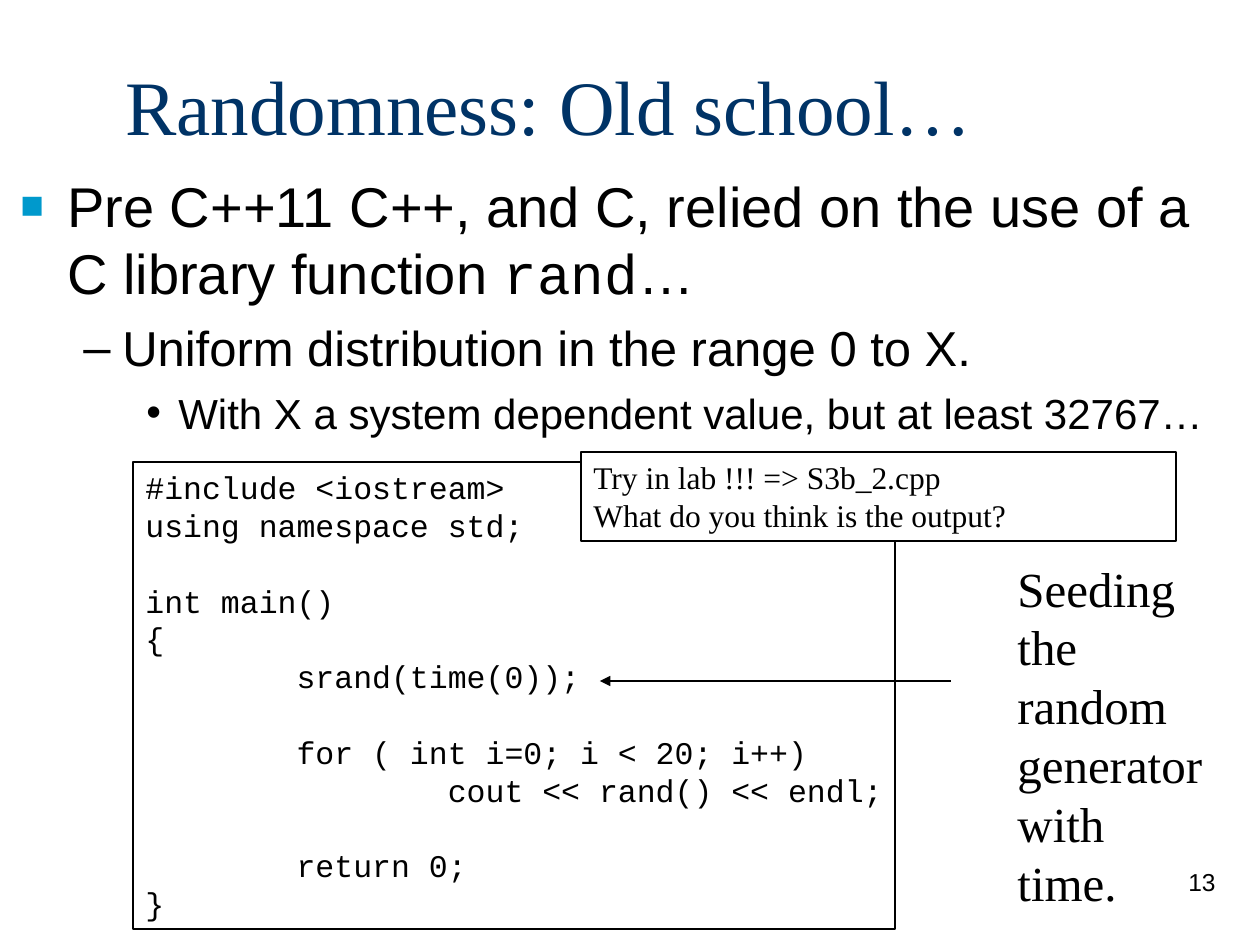
from dataclasses import dataclass
from typing import Optional

import pptx
import pptx.dml.color
import pptx.enum.shapes
import pptx.enum.text
import pptx.oxml
import pptx.oxml.ns
import pptx.util

PX_PER_INCH = 126
Align = pptx.enum.text.PP_ALIGN
Anchor = pptx.enum.text.MSO_ANCHOR


@dataclass(frozen=True)
class Theme:
    ink: str = "000000"
    paper: str = "FFFFFF"
    heading: str = "003366"
    accent: str = "0099CC"
    serif: str = "Times New Roman"
    sans: str = "Arial"
    mono: str = "Courier New"
    title_size: int = 44
    body_sizes: tuple = (32, 28, 24)
    code_size: int = 18
    aside_size: int = 28
    number_size: int = 14
    line_height: float = 1.2
    rule: float = 0.75


THEME = Theme()


@dataclass(frozen=True)
class Run:
    text: str
    font: str
    size: int
    color: str = THEME.ink


@dataclass(frozen=True)
class Bullet:
    char: str
    color: str
    percent: int
    indent: int
    hanging: int


@dataclass(frozen=True)
class Line:
    runs: tuple[Run, ...]
    before: float = 0
    align: Align = Align.LEFT
    bullet: Optional[Bullet] = None


@dataclass(frozen=True)
class Block:
    left: int
    top: int
    width: int
    height: int
    lines: tuple[Line, ...]
    anchor: Anchor = Anchor.TOP
    wrap: bool = True
    outlined: bool = False
    fill: Optional[str] = None


def px(length: int) -> int:
    return round(length * pptx.util.Inches(1) / PX_PER_INCH)


def rgb(color: str) -> pptx.dml.color.RGBColor:
    return pptx.dml.color.RGBColor.from_string(color)


def add_element(parent, tag: str, **attributes: str):
    element = pptx.oxml.parse_xml(f"<{tag} {pptx.oxml.ns.nsdecls('a')}/>")
    for key, value in attributes.items():
        element.set(key, value)
    parent.append(element)
    return element


def set_bullet(paragraph, bullet: Bullet) -> None:
    properties = paragraph._p.get_or_add_pPr()
    properties.set("marL", str(px(bullet.indent)))
    properties.set("indent", str(-px(bullet.hanging)))
    add_element(add_element(properties, "a:buClr"), "a:srgbClr", val=bullet.color)
    add_element(properties, "a:buSzPct", val=str(bullet.percent * 1000))
    add_element(properties, "a:buFont", typeface=THEME.sans)
    add_element(properties, "a:buChar", char=bullet.char)


def write_line(paragraph, line: Line) -> None:
    if line.bullet:
        set_bullet(paragraph, line.bullet)
    tallest = max(run.size for run in line.runs)
    formats = {
        "alignment": line.align,
        "line_spacing": pptx.util.Pt(tallest * THEME.line_height),
        "space_before": pptx.util.Pt(line.before),
    }
    for key, value in formats.items():
        setattr(paragraph, key, value)
    for run in line.runs:
        written = paragraph.add_run()
        written.text = run.text
        for key, value in {"name": run.font, "size": pptx.util.Pt(run.size)}.items():
            setattr(written.font, key, value)
        written.font.color.rgb = rgb(run.color)


def draw_block(slide, block: Block) -> None:
    place = [px(n) for n in (block.left, block.top, block.width, block.height)]
    if block.outlined:
        shape = slide.shapes.add_shape(pptx.enum.shapes.MSO_SHAPE.RECTANGLE, *place)
        shape.shadow.inherit = False
        shape.line.color.rgb = rgb(THEME.ink)
        shape.line.width = pptx.util.Pt(THEME.rule)
        if block.fill:
            shape.fill.solid()
            shape.fill.fore_color.rgb = rgb(block.fill)
        else:
            shape.fill.background()
    else:
        shape = slide.shapes.add_textbox(*place)
    frame = shape.text_frame
    for key, value in {"word_wrap": block.wrap, "vertical_anchor": block.anchor}.items():
        setattr(frame, key, value)
    for index, line in enumerate(block.lines):
        write_line(frame.add_paragraph() if index else frame.paragraphs[0], line)


def draw_arrow(slide, start: tuple[int, int], end: tuple[int, int]) -> None:
    arrow = slide.shapes.add_connector(
        pptx.enum.shapes.MSO_CONNECTOR.STRAIGHT, *(px(n) for n in start + end))
    arrow.line.color.rgb = rgb(THEME.ink)
    arrow.line.width = pptx.util.Pt(THEME.rule)
    add_element(arrow.line._get_or_add_ln(), "a:tailEnd", type="triangle")
    add_element(arrow._element.spPr, "a:effectLst")


def plain_lines(text: str, font: str, size: int) -> tuple[Line, ...]:
    """One Line per row; an empty row becomes a line of space before the next."""
    lines, gap = [], 0
    for row in text.splitlines():
        if row:
            lines.append(Line((Run(row, font, size),), before=gap))
        gap = 0 if row else size * THEME.line_height
    return tuple(lines)


CODE = """#include <iostream>
using namespace std;

int main()
{
        srand(time(0));

        for ( int i=0; i < 20; i++)
                cout << rand() << endl;

        return 0;
}"""

TOP, SECOND, THIRD = THEME.body_sizes
POINTS = (
    Line((Run("Pre C++11 C++, and C, relied on the use of a C library function ", THEME.sans, TOP),
          Run("rand", THEME.mono, TOP), Run("…", THEME.sans, TOP)),
         bullet=Bullet("■", THEME.accent, 70, 47, 47)),
    Line((Run("Uniform distribution in the range 0 to X.", THEME.sans, SECOND),),
         before=7, bullet=Bullet("–", THEME.ink, 100, 102, 39)),
    Line((Run("With X a system dependent value, but at least 32767…", THEME.sans, THIRD),),
         before=6, bullet=Bullet("•", THEME.ink, 100, 158, 32)),
)
TITLE = Line((Run("Randomness: Old school…", THEME.serif, THEME.title_size, THEME.heading),))
NUMBER = Line((Run("13", THEME.sans, THEME.number_size),), align=Align.RIGHT)
ASIDE = "Seeding\nthe\nrandom\ngenerator\nwith time."
TASK = "Try in lab !!! => S3b_2.cpp\nWhat do you think is the output?"

BLOCKS = (
    Block(966, 861, 262, 63, (NUMBER,)),
    Block(113, 26, 1071, 158, (TITLE,), anchor=Anchor.MIDDLE),
    Block(8, 165, 1208, 297, POINTS),
    Block(133, 462, 762, 467, plain_lines(CODE, THEME.mono, THEME.code_size),
          wrap=False, outlined=True),
    Block(1005, 552, 223, 307, plain_lines(ASIDE, THEME.serif, THEME.aside_size), wrap=False),
    Block(581, 452, 595, 89, plain_lines(TASK, THEME.serif, THEME.code_size),
          outlined=True, fill=THEME.paper),
)


def main() -> None:
    deck = pptx.Presentation()
    deck.slide_width, deck.slide_height = px(1260), px(945)
    slide = deck.slides.add_slide(deck.slide_layouts[6])
    for block in BLOCKS:
        draw_block(slide, block)
    draw_arrow(slide, (951, 681), (600, 681))
    deck.save("out.pptx")


if __name__ == "__main__":
    main()
